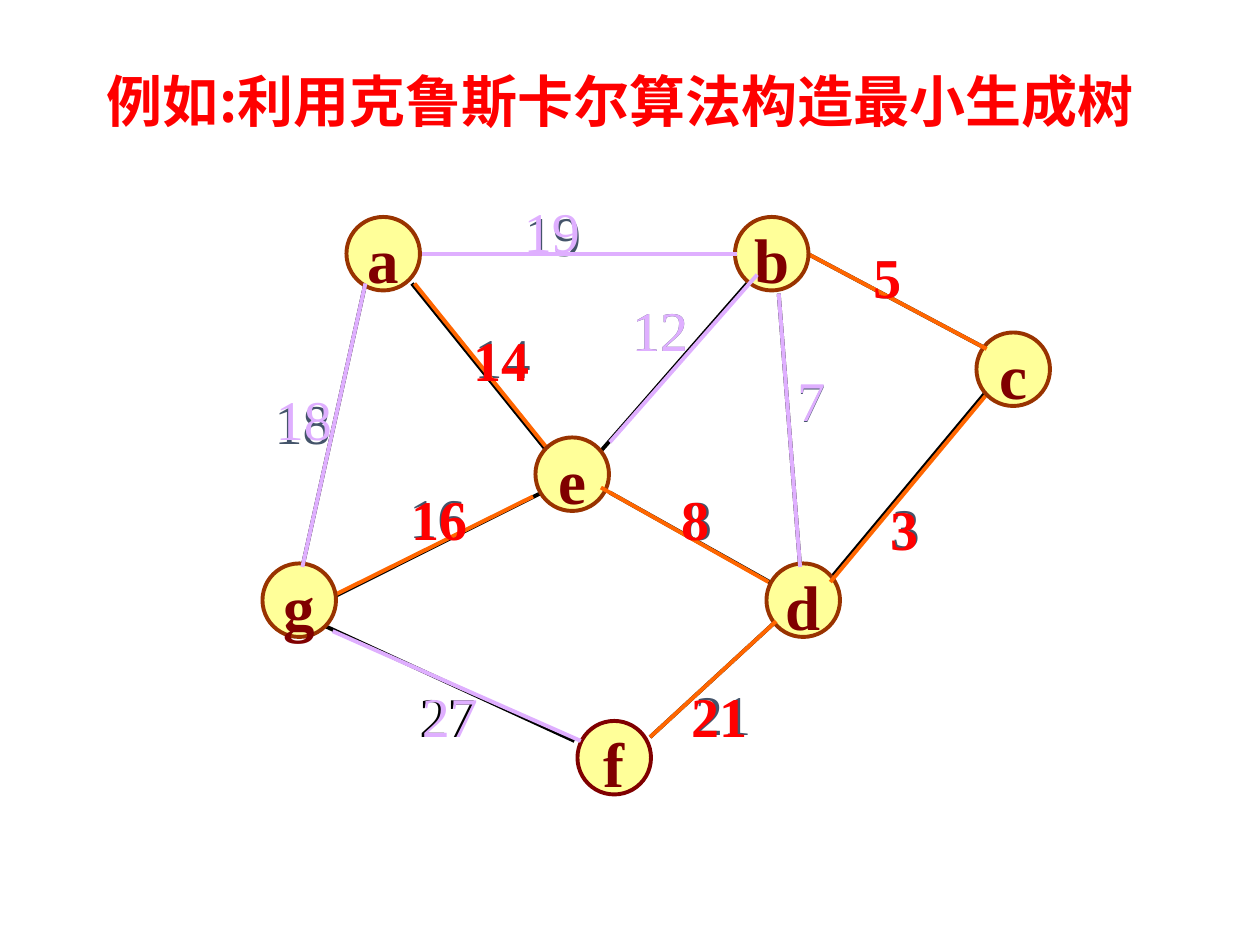
from lxml.etree import SubElement
from pptx import Presentation
from pptx.dml.color import RGBColor
from pptx.enum.shapes import MSO_CONNECTOR, MSO_SHAPE
from pptx.enum.text import MSO_ANCHOR, MSO_AUTO_SIZE, PP_ALIGN
from pptx.oxml.ns import qn
from pptx.util import Pt

BLACK = RGBColor(0x00, 0x00, 0x00)
SLATE = RGBColor(0x44, 0x54, 0x6A)
RED = RGBColor(0xFF, 0x00, 0x00)
ORANGE = RGBColor(0xFF, 0x66, 0x00)
LILAC = RGBColor(0xDF, 0xAF, 0xFF)
YELLOW = RGBColor(0xFF, 0xFF, 0x99)
BROWN = RGBColor(0x99, 0x33, 0x00)
MAROON = RGBColor(0x80, 0x00, 0x00)

# Edges as start x, start y, end x, end y.
EDGE_AB = (241.2, 145.4, 421.2, 145.4)
EDGE_AG = (208.8, 162, 172.8, 324)
EDGE_BC = (462.2, 145.4, 563.8, 199.4)
EDGE_BD = (445, 167.8, 457.2, 324)
EDGE_DF = (443.5, 355, 371.5, 421.2)

GRAPH_EDGES = [
    EDGE_AB,
    (235.4, 162, 313.2, 258.5),
    (427, 162, 342.7, 258.5),
    EDGE_AG,
    (190.1, 341.3, 309.6, 281.5),
    (348.5, 281.5, 445, 335.5),
    EDGE_BC,
    (563, 224.6, 473, 332.6),
    EDGE_BD,
    (184.3, 357.1, 328.3, 423.4),
    EDGE_DF,
]
REJECTED_EDGES = [
    EDGE_BD,
    (432.7, 157, 348.5, 252.7),
    EDGE_AG,
    EDGE_AB,
    (190.1, 360.7, 331.9, 423.4),
]

# Weights as text, left, top.
GRAPH_WEIGHTS = [
    ("19", 293, 108), ("5", 491.8, 131.8), ("14", 264.2, 177.8),
    ("18", 149.8, 215.3), ("16", 226.8, 269.3), ("8", 383.8, 270),
    ("21", 390.2, 381.6), ("3", 502.6, 275), ("12", 354.2, 162),
    ("7", 448.6, 203),
]
TREE_WEIGHTS = [
    ("14", 263.5, 179.3), ("8", 382.3, 270), ("5", 491.8, 131.8),
    ("3", 501.8, 275.8), ("16", 228.2, 270), ("21", 388.1, 383),
]
REJECTED_WEIGHTS = [
    ("7", 448.6, 202.3), ("12", 354.2, 162), ("18", 150.5, 213.1),
    ("19", 292.3, 105.8), ("27", 234, 383),
]

# Nodes as name, left, top, outline, and the tree edge that lies above the node.
NODES = [
    ("a", 198, 124, BROWN, (236.9, 162, 314.6, 258.5)),
    ("e", 306, 250, BROWN, (343.4, 278.6, 439.2, 332.6)),
    ("d", 438, 322, BROWN, (564.5, 224.6, 474.5, 332.6)),
    ("c", 558, 190, BROWN, EDGE_BC),
    ("b", 420, 124, BROWN, (184.3, 343.4, 304.6, 283.7)),
    ("g", 150, 322, BROWN, EDGE_DF),
    ("f", 330, 412, MAROON, None),
]


class GraphSlide:
    title_font = "Noto Sans CJK SC"
    graph_font = "Times New Roman"
    line_width = Pt(2.25)
    node_size = Pt(42)
    top_margin = Pt(6.6)
    bottom_margin = Pt(1)

    def __init__(self, slide):
        self.slide = slide

    def add_text(self, frame, text, size, color, bold, font_name):
        run = frame.paragraphs[0].add_run()
        run.text = text
        run.font.size = Pt(size)
        run.font.bold = bold
        run.font.name = font_name
        run.font.color.rgb = color
        return run

    def set_margins(self, frame):
        """Let the letters sit slightly below the middle of the frame."""
        frame.margin_top = self.top_margin
        frame.margin_bottom = self.bottom_margin

    def title(self, text):
        box = self.slide.shapes.add_textbox(Pt(54), Pt(34), Pt(609), Pt(45.4))
        frame = box.text_frame
        frame.word_wrap = True
        frame.paragraphs[0].line_spacing = Pt(39)
        run = self.add_text(frame, text, 32, RED, True, self.title_font)
        east_asian = SubElement(run.font._element, qn("a:ea"))
        east_asian.set("typeface", self.title_font)

    def edge(self, points, color):
        connector = self.slide.shapes.add_connector(
            MSO_CONNECTOR.STRAIGHT, *map(Pt, points))
        connector.line.color.rgb = color
        connector.line.width = self.line_width
        SubElement(connector._element.spPr, qn("a:effectLst"))

    def weight(self, text, left, top, color, bold=False):
        width = 14.4 + 16.2 * len(text)
        box = self.slide.shapes.add_textbox(
            Pt(left), Pt(top), Pt(width), Pt(45.4))
        frame = box.text_frame
        frame.word_wrap = False
        frame.auto_size = MSO_AUTO_SIZE.SHAPE_TO_FIT_TEXT
        self.set_margins(frame)
        self.add_text(frame, text, 32, color, bold, self.graph_font)

    def node(self, name, left, top, outline):
        shape = self.slide.shapes.add_shape(
            MSO_SHAPE.OVAL, Pt(left), Pt(top), self.node_size, self.node_size)
        shape.shadow.inherit = False
        shape.fill.solid()
        shape.fill.fore_color.rgb = YELLOW
        shape.line.color.rgb = outline
        shape.line.width = self.line_width
        frame = shape.text_frame
        frame.word_wrap = False
        frame.vertical_anchor = MSO_ANCHOR.MIDDLE
        frame.paragraphs[0].alignment = PP_ALIGN.CENTER
        self.set_margins(frame)
        self.add_text(frame, name, 36, MAROON, True, self.graph_font)


def main():
    presentation = Presentation()
    presentation.slide_width = Pt(720)
    presentation.slide_height = Pt(540)
    graph = GraphSlide(
        presentation.slides.add_slide(presentation.slide_layouts[6]))

    graph.title("例如:利用克鲁斯卡尔算法构造最小生成树")
    for points in GRAPH_EDGES:
        graph.edge(points, BLACK)
    for weight in GRAPH_WEIGHTS:
        graph.weight(*weight, SLATE)
    graph.weight("27", 232.6, 383, BLACK)

    for name, left, top, outline, tree_edge in NODES:
        graph.node(name, left, top, outline)
        if tree_edge:
            graph.edge(tree_edge, ORANGE)
    for weight in TREE_WEIGHTS:
        graph.weight(*weight, RED, bold=True)

    for points in REJECTED_EDGES:
        graph.edge(points, LILAC)
    for weight in REJECTED_WEIGHTS:
        graph.weight(*weight, LILAC)

    presentation.save("out.pptx")


if __name__ == "__main__":
    main()
